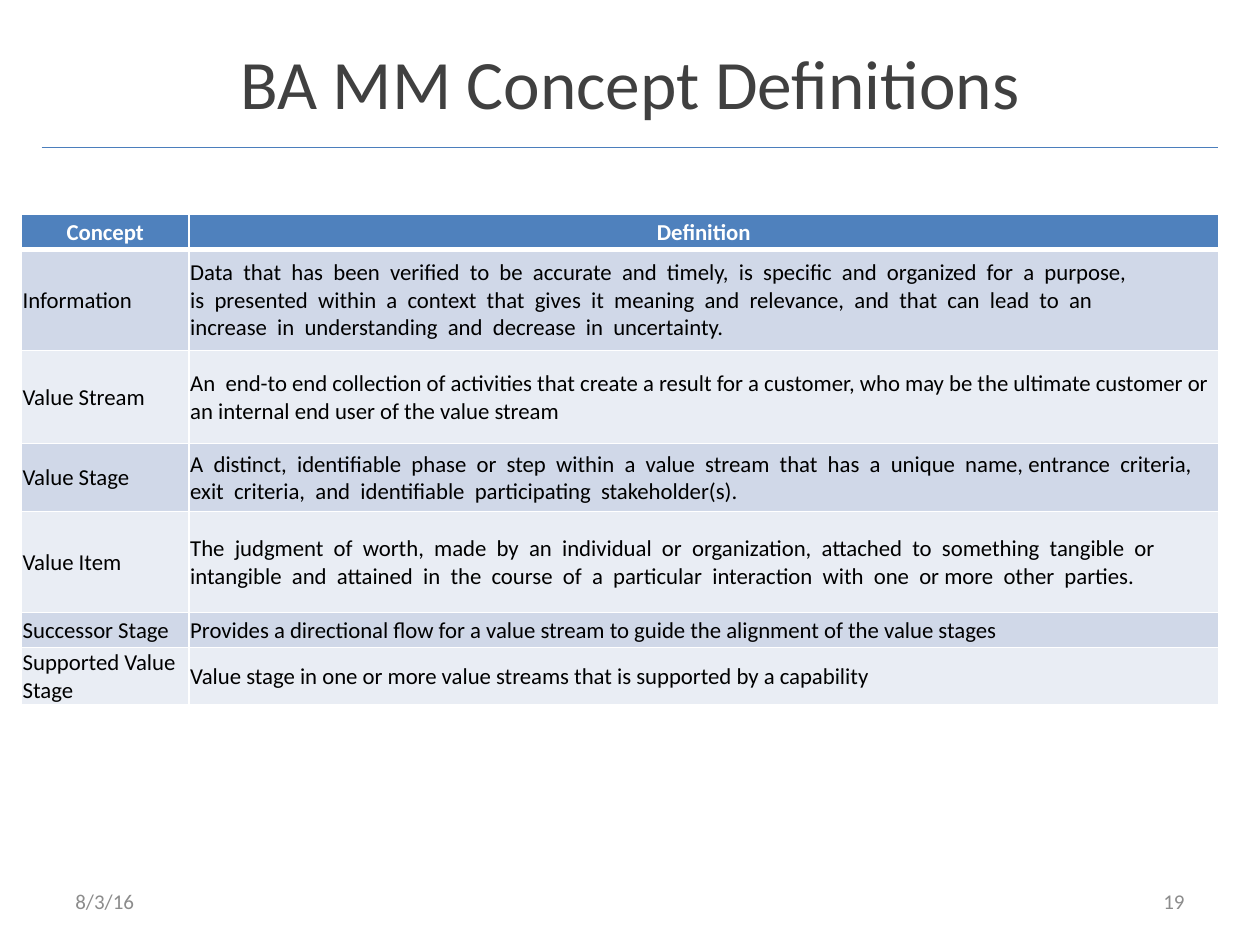
from lxml.etree import SubElement
from pptx import Presentation
from pptx.dml.color import RGBColor
from pptx.enum.shapes import MSO_CONNECTOR
from pptx.enum.text import MSO_ANCHOR, MSO_AUTO_SIZE, PP_ALIGN
from pptx.oxml.ns import qn
from pptx.util import Inches, Pt

COLORS = {
    "title": "404040",
    "rule": "4B7EBC",
    "header": "4F81BD",
    "odd": "D0D8E8",
    "even": "E9EDF4",
    "white": "FFFFFF",
    "body": "000000",
    "footer": "8C8C8C",
}
TITLE_FONT = {"name": "Calibri", "size": Pt(39.6)}
HEADER_FONT = {"name": "Calibri", "size": Pt(13), "bold": True}
BODY_FONT = {"name": "Calibri", "size": Pt(13), "bold": False}
FOOTER_FONT = {"name": "Calibri", "size": Pt(12)}
CELL_FORMAT = {
    "margin_left": Inches(0.01),
    "margin_right": Inches(0.01),
    "margin_top": Inches(0.01),
    "margin_bottom": 0,
    "vertical_anchor": MSO_ANCHOR.MIDDLE,
}
FRAME_FORMAT = {
    "word_wrap": True,
    "auto_size": MSO_AUTO_SIZE.NONE,
    "vertical_anchor": MSO_ANCHOR.MIDDLE,
}
COLUMN_WIDTHS = [1.33, 8.17]
ROW_HEIGHTS = [0.28, 0.8, 0.74, 0.54, 0.8, 0.28, 0.28]
WIDE_GAP = chr(160) + " "


def widen(text):
    return text.replace(" ", WIDE_GAP).replace("_", " ")


CONCEPTS = [
    ("Concept", "Definition"),
    ("Information", widen(
        "Data that has been verified to be accurate and timely, is specific and organized for a purpose,\n"
        "is presented within a context that gives it meaning and relevance, and that can lead to an\n"
        "increase in understanding and decrease in uncertainty.")),
    ("Value Stream", widen("An ") + (
        "end-to end collection of activities that create a result for a customer, "
        "who may be the ultimate customer or an internal end user of the value stream")),
    ("Value Stage", widen(
        "A distinct, identifiable phase or step within a value stream that has a unique name,_entrance "
        "criteria, exit criteria, and identifiable participating stakeholder(s).")),
    ("Value Item", widen(
        "The judgment of worth, made by an individual or organization, attached to something tangible or "
        "intangible and attained in the course of a particular interaction with one or_more other parties.")),
    ("Successor Stage",
     "Provides a directional flow for a value stream to guide the alignment of the value stages"),
    ("Supported Value Stage",
     "Value stage in one or more value streams that is supported by a capability"),
]


def apply_format(target, values):
    for attribute, value in values.items():
        setattr(target, attribute, value)


def rgb(color):
    return RGBColor.from_string(COLORS[color])


def write_text(frame, text, font, color, align):
    frame.text = text
    for paragraph in frame.paragraphs:
        paragraph.alignment = align
        apply_format(paragraph.font, font)
        paragraph.font.color.rgb = rgb(color)


def place_title(slide, text):
    title = slide.shapes.title
    apply_format(title, {"left": Inches(0.5), "top": Inches(0.3),
                         "width": Inches(9), "height": Inches(0.7)})
    apply_format(title.text_frame, FRAME_FORMAT)
    write_text(title.text_frame, text, TITLE_FONT, "title", PP_ALIGN.CENTER)


def add_rule(slide):
    rule = slide.shapes.add_connector(
        MSO_CONNECTOR.STRAIGHT, Inches(0.33), Inches(1.17), Inches(9.67), Inches(1.17))
    rule.line.color.rgb = rgb("rule")
    rule.line.width = Pt(0.75)
    SubElement(rule._element.spPr, qn("a:effectLst"))


def add_borders(cell, top, bottom):
    properties = cell._tc.get_or_add_tcPr()
    for side, points in {"lnL": 1, "lnR": 1, "lnT": top, "lnB": bottom}.items():
        border = SubElement(properties, qn(f"a:{side}"), w=str(Pt(points)))
        fill = SubElement(border, qn("a:solidFill"))
        SubElement(fill, qn("a:srgbClr"), val=COLORS["white"])


def format_cell(cell, text, row):
    is_header = row == 0
    apply_format(cell, CELL_FORMAT)
    add_borders(cell, 3 if row == 1 else 1, 3 if is_header else 1)
    cell.fill.solid()
    cell.fill.fore_color.rgb = rgb("header" if is_header else "odd" if row % 2 else "even")
    if is_header:
        write_text(cell.text_frame, text, HEADER_FONT, "white", PP_ALIGN.CENTER)
    else:
        write_text(cell.text_frame, text, BODY_FONT, "body", PP_ALIGN.LEFT)


def add_concept_table(slide):
    table = slide.shapes.add_table(
        len(CONCEPTS), len(COLUMN_WIDTHS), Inches(0.17), Inches(1.7),
        Inches(sum(COLUMN_WIDTHS)), Inches(sum(ROW_HEIGHTS))).table
    table.horz_banding = False
    for column, width in zip(table.columns, COLUMN_WIDTHS):
        column.width = Inches(width)
    for row, (height, texts) in enumerate(zip(ROW_HEIGHTS, CONCEPTS)):
        table.rows[row].height = Inches(height)
        for column, text in enumerate(texts):
            format_cell(table.cell(row, column), text, row)


def add_footer(slide, left, text, align):
    footer = slide.shapes.add_textbox(Inches(left), Inches(6.95), Inches(2.33), Inches(0.4))
    apply_format(footer.text_frame, FRAME_FORMAT)
    write_text(footer.text_frame, text, FOOTER_FONT, "footer", align)


def main():
    presentation = Presentation()
    apply_format(presentation, {"slide_width": Inches(10), "slide_height": Inches(7.5)})
    slide = presentation.slides.add_slide(presentation.slide_layouts[5])
    add_rule(slide)
    place_title(slide, "BA MM Concept Definitions")
    add_concept_table(slide)
    add_footer(slide, 0.5, "8/3/16", PP_ALIGN.LEFT)
    add_footer(slide, 7.17, "19", PP_ALIGN.RIGHT)
    presentation.save("out.pptx")


if __name__ == "__main__":
    main()
